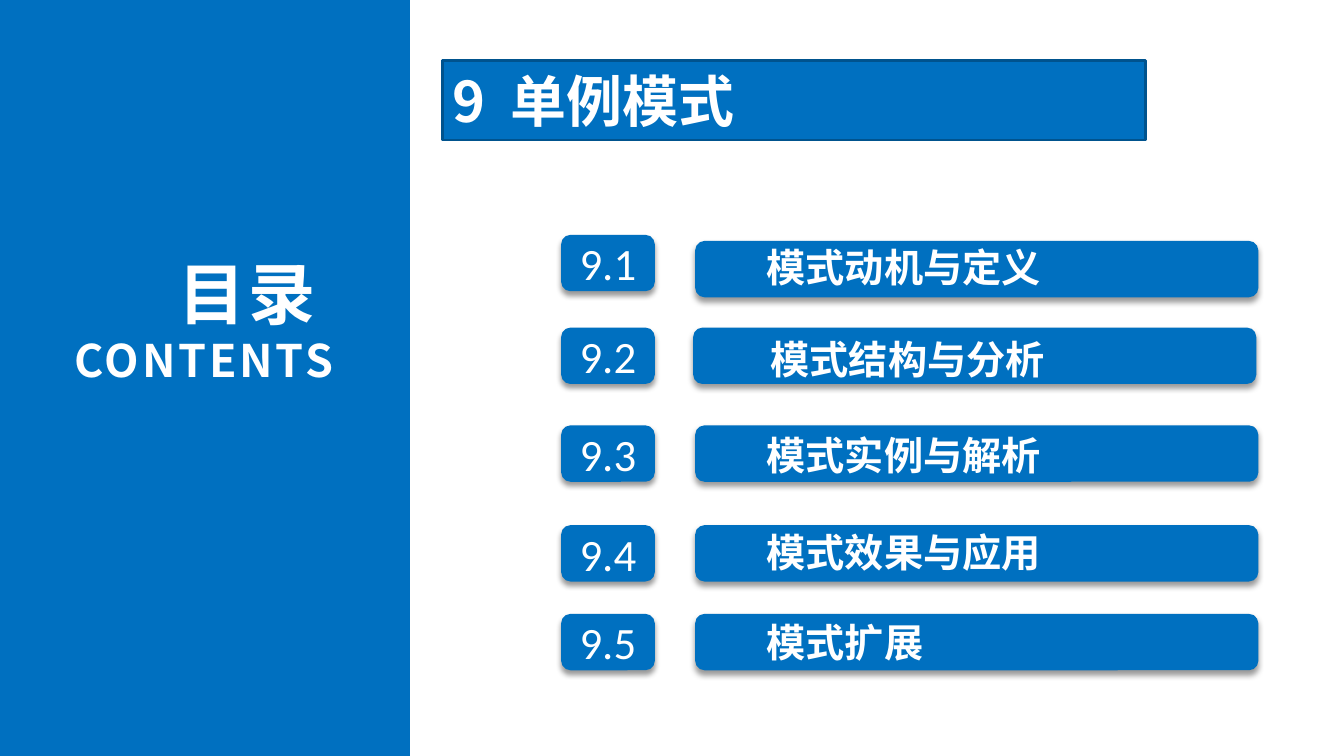
from dataclasses import dataclass

from lxml import etree
from pptx import Presentation
from pptx.dml.color import RGBColor
from pptx.enum.shapes import MSO_SHAPE
from pptx.enum.text import MSO_ANCHOR, MSO_AUTO_SIZE, PP_ALIGN
from pptx.oxml.ns import qn
from pptx.util import Inches, Pt

RECT, ROUNDED = MSO_SHAPE.RECTANGLE, MSO_SHAPE.ROUNDED_RECTANGLE
LEFT, CENTER, RIGHT = PP_ALIGN.LEFT, PP_ALIGN.CENTER, PP_ALIGN.RIGHT
MIDDLE, TOP = MSO_ANCHOR.MIDDLE, MSO_ANCHOR.TOP
BLUE, DARK_BLUE, WHITE = "0070C0", "00538E", "FFFFFF"
LATIN, CJK = "Calibri", "Noto Sans CJK SC"
TITLE_ONLY = 5


@dataclass
class Section:
    number: str
    name: str
    badge_y: float
    bar_x: float
    bar_y: float
    name_x: float
    name_y: float


SECTIONS = [
    Section("9.1", "模式动机与定义", 2.33, 6.9, 2.39, 7.48, 2.34),
    Section("9.2", "模式结构与分析", 3.25, 6.88, 3.25, 7.52, 3.26),
    Section("9.3", "模式实例与解析", 4.22, 6.9, 4.22, 7.48, 4.21),
    Section("9.4", "模式效果与应用", 5.21, 6.9, 5.21, 7.48, 5.17),
    Section("9.5", "模式扩展", 6.09, 6.9, 6.09, 7.48, 6.06),
]


def color(value: str) -> RGBColor:
    return RGBColor.from_string(value)


def add_box(shapes, kind, x: float, y: float, w: float, h: float, shadow: bool = False):
    sp = shapes.add_shape(kind, Inches(x), Inches(y), Inches(w), Inches(h))
    sp.fill.solid()
    sp.fill.fore_color.rgb = color(BLUE)
    sp.line.fill.background()
    sp.shadow.inherit = False
    if shadow:
        effects = sp.element.spPr.find(qn("a:effectLst"))
        outer = etree.SubElement(effects, qn("a:outerShdw"), blurRad=str(Pt(4)),
                                 dist=str(Pt(3)), dir="5400000", rotWithShape="0")
        black = etree.SubElement(outer, qn("a:srgbClr"), val="000000")
        etree.SubElement(black, qn("a:alpha"), val="40000")
    return sp


def set_frame(tf, anchor, side: float = 0.13, edge: float = 0.07) -> None:
    tf.word_wrap = True
    tf.auto_size = MSO_AUTO_SIZE.NONE
    tf.vertical_anchor = anchor
    tf.margin_left = tf.margin_right = Inches(side)
    tf.margin_top = tf.margin_bottom = Inches(edge)


def add_run(p, text: str, size: float, font: str = CJK, bold: bool = True,
            spacing: float = 0) -> None:
    r = p.add_run()
    r.text = text
    r.font.size = Pt(size)
    r.font.bold = bold
    r.font.color.rgb = color(WHITE)
    r.font.name = font
    rPr = r.font._element
    etree.SubElement(rPr, qn("a:ea"), typeface=font)
    if spacing:
        rPr.set("spc", str(int(spacing * 100)))


def add_text(shapes, x: float, y: float, w: float, h: float):
    tf = shapes.add_textbox(Inches(x), Inches(y), Inches(w), Inches(h)).text_frame
    set_frame(tf, TOP)
    return tf


def add_title(s) -> None:
    sp = s.shapes.title
    sp.left, sp.top, sp.width, sp.height = map(Inches, (4.39, 0.6, 6.98, 0.79))
    geometry = etree.Element(qn("a:prstGeom"), prst="roundRect")
    etree.SubElement(geometry, qn("a:avLst"))
    sp.element.spPr.find(qn("a:xfrm")).addnext(geometry)
    sp.fill.solid()
    sp.fill.fore_color.rgb = color(BLUE)
    sp.line.color.rgb = color(DARK_BLUE)
    sp.line.width = Pt(2)
    set_frame(sp.text_frame, MIDDLE, 0.1, 0.05)
    p = sp.text_frame.paragraphs[0]
    p.alignment = LEFT
    add_run(p, "9", 40)
    add_run(p, " ", 40, spacing=9)
    add_run(p, "单例模式", 40)


def add_section(s, section: Section) -> None:
    badge = add_box(s.shapes, ROUNDED, 5.57, section.badge_y, 0.93, 0.56, shadow=True)
    set_frame(badge.text_frame, MIDDLE)
    p = badge.text_frame.paragraphs[0]
    p.alignment = CENTER
    add_run(p, section.number, 32, LATIN, bold=False)

    group = s.shapes.add_group_shape()
    add_box(group.shapes, ROUNDED, section.bar_x, section.bar_y, 5.59, 0.56, shadow=True)
    tf = add_text(group.shapes, section.name_x, section.name_y, 4.09, 0.61)
    add_run(tf.paragraphs[0], section.name, 28)


def main() -> None:
    prs = Presentation()
    prs.slide_width, prs.slide_height = Inches(13.34), Inches(7.5)
    s = prs.slides.add_slide(prs.slide_layouts[TITLE_ONLY])

    # Side panel with the contents heading
    add_box(s.shapes, RECT, 0, 0, 4.07, 7.5)
    tf = add_text(s.shapes, 0.37, 2.43, 3.07, 1.48)
    for i, (text, size) in enumerate([("目录 ", 48), ("CONTENTS", 32)]):
        p = tf.add_paragraph() if i else tf.paragraphs[0]
        p.alignment = RIGHT
        add_run(p, text, size, spacing=2)

    # Chapter title and its sections
    add_title(s)
    for section in SECTIONS:
        add_section(s, section)

    prs.save("out.pptx")


if __name__ == "__main__":
    main()
